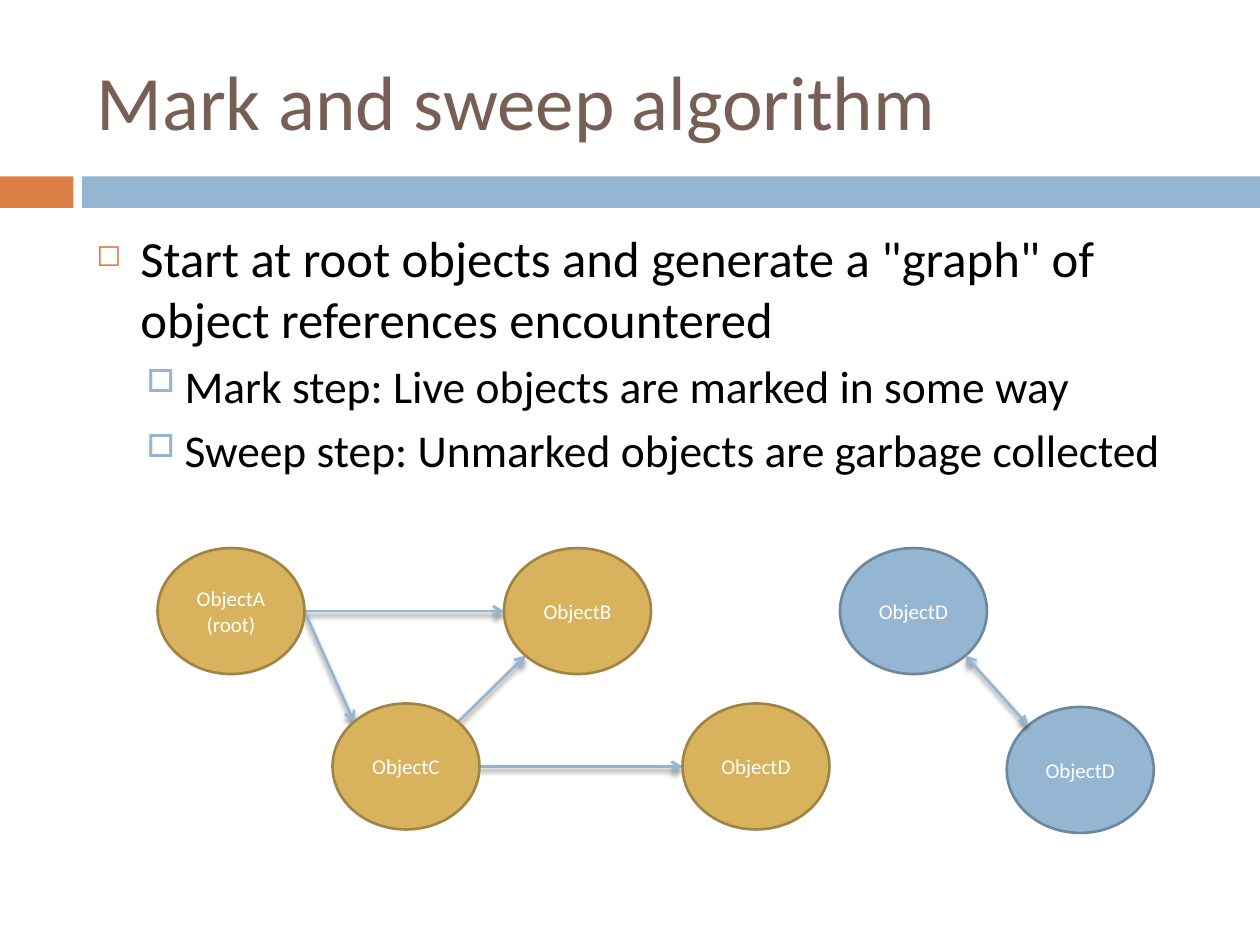
from math import cos, radians, sin

from lxml.etree import SubElement
from pptx import Presentation
from pptx.dml.color import RGBColor
from pptx.enum.shapes import MSO_CONNECTOR, MSO_SHAPE
from pptx.enum.text import MSO_ANCHOR, PP_ALIGN
from pptx.oxml.ns import qn
from pptx.util import Pt

COLORS = {
    "accent": "DD8047", "blue": "94B6D2", "blue_edge": "6D879B",
    "gold": "D8B25C", "gold_edge": "A08444", "title": "775F55",
    "black": "000000", "white": "FFFFFF",
}
NODE_WIDTH, NODE_HEIGHT = 84, 72
RIGHT, LOWER_RIGHT, LEFT, UPPER_LEFT, UPPER_RIGHT = 0, 45, 180, 225, 315


class SlideBuilder:
    """Draws styled elements on the current slide."""

    font_name = "Calibri"
    line_width = 1.5

    def __init__(self, slide):
        self.slide = slide

    def rgb(self, color):
        return RGBColor.from_string(COLORS[color])

    def style(self, paragraph, size, color):
        paragraph.font.name = self.font_name
        paragraph.font.size = Pt(size)
        paragraph.font.color.rgb = self.rgb(color)

    def shape(self, kind, left, top, width, height, fill):
        shape = self.slide.shapes.add_shape(kind, Pt(left), Pt(top), Pt(width), Pt(height))
        shape.shadow.inherit = False
        shape.fill.solid()
        shape.fill.fore_color.rgb = self.rgb(fill)
        return shape

    def band(self, left, width, fill):
        self.shape(MSO_SHAPE.RECTANGLE, left, 100.8, width, 18, fill).line.fill.background()

    def text_frame(self, left, top, width, height):
        frame = self.slide.shapes.add_textbox(Pt(left), Pt(top), Pt(width), Pt(height)).text_frame
        frame.word_wrap = True
        return frame

    def title(self, text):
        frame = self.text_frame(48, 18, 642, 78)
        frame.vertical_anchor = MSO_ANCHOR.MIDDLE
        frame.text = text
        self.style(frame.paragraphs[0], 44, "title")

    def bullet(self, paragraph, symbol, color, percent, margin, hanging):
        properties = paragraph._p.get_or_add_pPr()
        properties.set("marL", str(Pt(margin)))
        properties.set("indent", str(-Pt(hanging)))
        bullet_color = SubElement(properties, qn("a:buClr"))
        SubElement(bullet_color, qn("a:srgbClr"), val=COLORS[color])
        SubElement(properties, qn("a:buSzPct"), val=str(percent * 1000))
        SubElement(properties, qn("a:buChar"), char=symbol)

    def body(self, statement, steps):
        frame = self.text_frame(48, 126, 642, 354)
        frame.text = "\n".join([statement, *steps])
        lead, *details = frame.paragraphs
        self.bullet(lead, "◻", "accent", 60, 25.2, 25.2)
        self.style(lead, 29, "black")
        for detail in details:
            detail.level = 1
            detail.space_before = Pt(5.5)
            self.bullet(detail, "□", "blue", 70, 50.4, 21.6)
            self.style(detail, 26, "black")

    def node(self, label, position, fill):
        ellipse = self.shape(MSO_SHAPE.OVAL, *position, NODE_WIDTH, NODE_HEIGHT, fill)
        ellipse.line.color.rgb = self.rgb(f"{fill}_edge")
        ellipse.line.width = Pt(self.line_width)
        frame = ellipse.text_frame
        frame.vertical_anchor = MSO_ANCHOR.MIDDLE
        frame.text = label
        for paragraph in frame.paragraphs:
            paragraph.alignment = PP_ALIGN.CENTER
            self.style(paragraph, 12, "white")

    def rim(self, position, angle):
        left, top = position
        return (Pt(left + NODE_WIDTH / 2 * (1 + cos(radians(angle)))),
                Pt(top + NODE_HEIGHT / 2 * (1 + sin(radians(angle)))))

    def reference(self, source, source_angle, target, target_angle, mutual=False):
        arrow = self.slide.shapes.add_connector(
            MSO_CONNECTOR.STRAIGHT,
            *self.rim(source, source_angle), *self.rim(target, target_angle))
        arrow.line.color.rgb = self.rgb("blue")
        arrow.line.width = Pt(self.line_width)
        outline = arrow.line._get_or_add_ln()
        if mutual:
            SubElement(outline, qn("a:headEnd"), type="triangle")
        SubElement(outline, qn("a:tailEnd"), type="arrow")
        effects = SubElement(arrow._element.spPr, qn("a:effectLst"))
        shadow = SubElement(effects, qn("a:outerShdw"), blurRad=str(Pt(3)),
                            dist=str(Pt(2.4)), dir="5400000", rotWithShape="0")
        shadow_color = SubElement(shadow, qn("a:srgbClr"), val=COLORS["black"])
        SubElement(shadow_color, qn("a:alpha"), val="45000")


def main():
    presentation = Presentation()
    presentation.slide_width, presentation.slide_height = Pt(720), Pt(540)
    builder = SlideBuilder(presentation.slides.add_slide(presentation.slide_layouts[6]))

    builder.band(0, 42, "accent")
    builder.band(46.8, 673.2, "blue")
    builder.title("Mark and sweep algorithm")
    builder.body(
        'Start at root objects and generate a "graph" of object references encountered',
        ["Mark step: Live objects are marked in some way",
         "Sweep step: Unmarked objects are garbage collected"])

    upper, lower = 313.2, 402
    root, object_b = (90, upper), (288, upper)
    object_c, object_d = (190, lower), (390, lower)
    unmarked_upper, unmarked_lower = (480, upper), (575.3, 404)

    builder.reference(root, RIGHT, object_b, LEFT)
    builder.reference(root, RIGHT, object_c, UPPER_LEFT)
    builder.reference(object_c, UPPER_RIGHT, object_b, 135)
    builder.reference(object_c, RIGHT, object_d, LEFT)

    for position in (unmarked_upper, unmarked_lower):
        builder.node("ObjectD", position, "blue")
    builder.reference(unmarked_lower, UPPER_LEFT, unmarked_upper, LOWER_RIGHT, mutual=True)

    live_objects = {"ObjectA\n(root)": root, "ObjectC": object_c,
                    "ObjectB": object_b, "ObjectD": object_d}
    for label, position in live_objects.items():
        builder.node(label, position, "gold")

    presentation.save("out.pptx")


if __name__ == "__main__":
    main()
